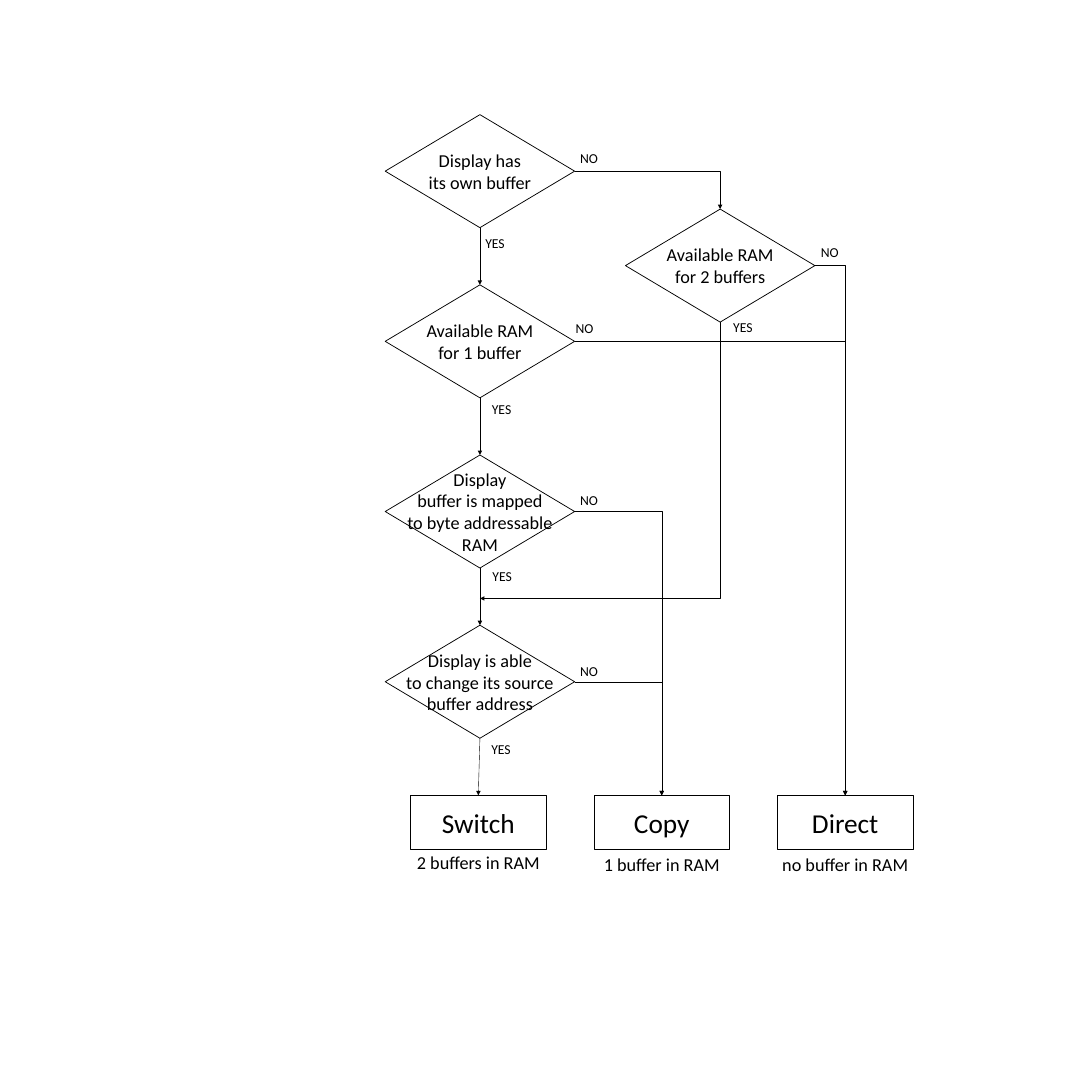
from dataclasses import dataclass

from lxml import etree
from pptx import Presentation
from pptx.dml.color import RGBColor
from pptx.enum.shapes import MSO_CONNECTOR, MSO_SHAPE
from pptx.enum.text import MSO_ANCHOR, MSO_AUTO_SIZE, PP_ALIGN
from pptx.oxml.ns import qn
from pptx.util import Inches, Pt

DECISION, RECTANGLE = MSO_SHAPE.FLOWCHART_DECISION, MSO_SHAPE.RECTANGLE
STRAIGHT, ELBOW = MSO_CONNECTOR.STRAIGHT, MSO_CONNECTOR.ELBOW
CENTER, LEFT = PP_ALIGN.CENTER, PP_ALIGN.LEFT
MIDDLE = MSO_ANCHOR.MIDDLE
FIT_TEXT = MSO_AUTO_SIZE.SHAPE_TO_FIT_TEXT
TOP, BOTTOM, RIGHT = 0, 2, 3  # connection sites


@dataclass(frozen=True)
class Theme:
    font: str = "Calibri"
    ink: RGBColor = RGBColor(0, 0, 0)
    paper: RGBColor = RGBColor(255, 255, 255)
    outcome_size: int = 36
    body_size: int = 24
    label_size: int = 18
    outline: float = 1
    arrow: float = 0.5


THEME = Theme()
PAGE = 20
FIRST_ROW, ROW_STEP = 2.1, 3.117
SPINE, BRANCH = 8.79, 13.19
DIAMOND = (3.47, 2.07)
FIRST_OUTCOME, OUTCOME_STEP = 8.76, 3.36
OUTCOME = (2.48, 0.99)
CAPTION_HEIGHT = 0.32
LABEL = (0.67, 0.4)
MERGE_LEVEL = 10.96

# key: centre column, row, lines, offset of YES from the bottom tip,
# offset of NO from the right tip
DECISIONS = {
    "own": (SPINE, 0, ("Display has", "its own buffer"), (0, 0.08), (0, -0.44)),
    "two": (BRANCH, 0.555, ("Available RAM", "for 2 buffers"), (0.14, -0.11), (0.01, -0.44)),
    "one": (SPINE, 1, ("Available RAM", "for 1 buffer"), (0.12, 0), (-0.08, -0.44)),
    "mapped": (SPINE, 2, ("Display", "buffer is mapped", "to byte addressable", "RAM"),
               (0.13, -0.05), (0, -0.41)),
    "source": (SPINE, 3, ("Display is able", "to change its source", "buffer address"),
               (0.11, 0), (0, -0.4)),
}
# name, caption, caption width, gap above the caption
OUTCOMES = (
    ("Switch", "2 buffers in RAM", 2.48, 0.07),
    ("Copy", "1 buffer in RAM", 2.48, 0.11),
    ("Direct", "no buffer in RAM", 2.6, 0.11),
)
YES_ARROWS = (("own", "one"), ("one", "mapped"), ("mapped", "source"), ("source", "Switch"))
NO_ARROWS = (("one", "Direct"), ("own", "two"), ("two", "Direct"),
             ("mapped", "Copy"), ("source", "Copy"))


def row_top(row):
    return FIRST_ROW + row * ROW_STEP


def write_lines(frame, lines, size, align=CENTER):
    for index, line in enumerate(lines):
        para = frame.paragraphs[0] if index == 0 else frame.add_paragraph()
        para.alignment = align
        span = para.add_run()
        span.text = line
        span.font.name = THEME.font
        span.font.size = Pt(size)
        span.font.color.rgb = THEME.ink


def add_box(page, kind, center, top, size, lines, text_size, outlined=True):
    """Add a white shape centred on a column."""
    width, height = size
    box = page.shapes.add_shape(kind, Inches(center - width / 2), Inches(top),
                                Inches(width), Inches(height))
    box.shadow.inherit = False
    box.fill.solid()
    box.fill.fore_color.rgb = THEME.paper
    if outlined:
        box.line.color.rgb = THEME.ink
        box.line.width = Pt(THEME.outline)
    else:
        box.line.fill.background()
    box.text_frame.vertical_anchor = MIDDLE
    write_lines(box.text_frame, lines, text_size)
    return box


def add_decision(page, center, row, lines):
    box = add_box(page, DECISION, center, row_top(row), DIAMOND, lines, THEME.body_size)
    frame = box.text_frame
    frame.word_wrap = False
    frame.margin_left = frame.margin_right = frame.margin_top = frame.margin_bottom = 0
    return box


def add_label(page, text, left, top):
    width, height = LABEL
    box = page.shapes.add_textbox(Inches(left), Inches(top), Inches(width), Inches(height))
    box.text_frame.word_wrap = True
    box.text_frame.auto_size = FIT_TEXT
    write_lines(box.text_frame, (text,), THEME.label_size, LEFT)


def add_arrow(page, kind, source, site):
    """Add an arrow that leaves a site of a box; its end is placed later."""
    arrow = page.shapes.add_connector(kind, 0, 0, 0, 0)
    arrow.line.color.rgb = THEME.ink
    arrow.line.width = Pt(THEME.arrow)
    etree.SubElement(arrow.line._get_or_add_ln(), qn("a:tailEnd"), type="triangle")
    etree.SubElement(arrow.element.spPr, qn("a:effectLst"))
    arrow.begin_connect(source, site)
    return arrow


def add_yes_arrow(page, source, target):
    add_arrow(page, STRAIGHT, source, BOTTOM).end_connect(target, TOP)


def add_no_arrow(page, source, target):
    """Go right from the source, then down into the target."""
    arrow = add_arrow(page, ELBOW, source, RIGHT)
    arrow.end_connect(target, TOP)
    arrow.element.spPr.find(qn("a:prstGeom")).set("prst", "bentConnector2")


def add_merge_arrow(page, source):
    """Go down from the source, then left into the spine."""
    arrow = add_arrow(page, ELBOW, source, BOTTOM)
    start = row_top(DECISIONS["two"][1]) + DIAMOND[1]
    drop, run = MERGE_LEVEL - start, BRANCH - SPINE
    arrow.left = Inches((SPINE + BRANCH - drop) / 2)
    arrow.top = Inches((start + MERGE_LEVEL - run) / 2)
    arrow.width, arrow.height = Inches(drop), Inches(run)
    properties = arrow.element.spPr
    frame = properties.find(qn("a:xfrm"))
    for flip in ("flipH", "flipV"):
        frame.attrib.pop(flip, None)
    frame.set("rot", str(90 * 60000))
    adjustments = properties.find(qn("a:prstGeom")).find(qn("a:avLst"))
    etree.SubElement(adjustments, qn("a:gd"), name="adj1", fmla="val 100000")


def main():
    deck = Presentation()
    deck.slide_width = deck.slide_height = Inches(PAGE)
    page = deck.slides.add_slide(deck.slide_layouts[6])

    boxes = {key: add_decision(page, center, row, lines)
             for key, (center, row, lines, _, _) in DECISIONS.items()}
    outcome_top = row_top(4)
    for index, (name, caption, width, gap) in enumerate(OUTCOMES):
        center = FIRST_OUTCOME + index * OUTCOME_STEP
        boxes[name] = add_box(page, RECTANGLE, center, outcome_top, OUTCOME,
                              (name,), THEME.outcome_size)
        add_box(page, RECTANGLE, center, outcome_top + OUTCOME[1] + gap,
                (width, CAPTION_HEIGHT), (caption,), THEME.body_size, outlined=False)

    for source, target in NO_ARROWS:
        add_no_arrow(page, boxes[source], boxes[target])
    for source, target in YES_ARROWS:
        add_yes_arrow(page, boxes[source], boxes[target])
    add_merge_arrow(page, boxes["two"])

    width, height = DIAMOND
    for center, row, _, (yes_x, yes_y), (no_x, no_y) in DECISIONS.values():
        top = row_top(row)
        add_label(page, "YES", center + yes_x, top + height + yes_y)
        add_label(page, "NO", center + width / 2 + no_x, top + height / 2 + no_y)

    deck.save("out.pptx")


if __name__ == "__main__":
    main()
